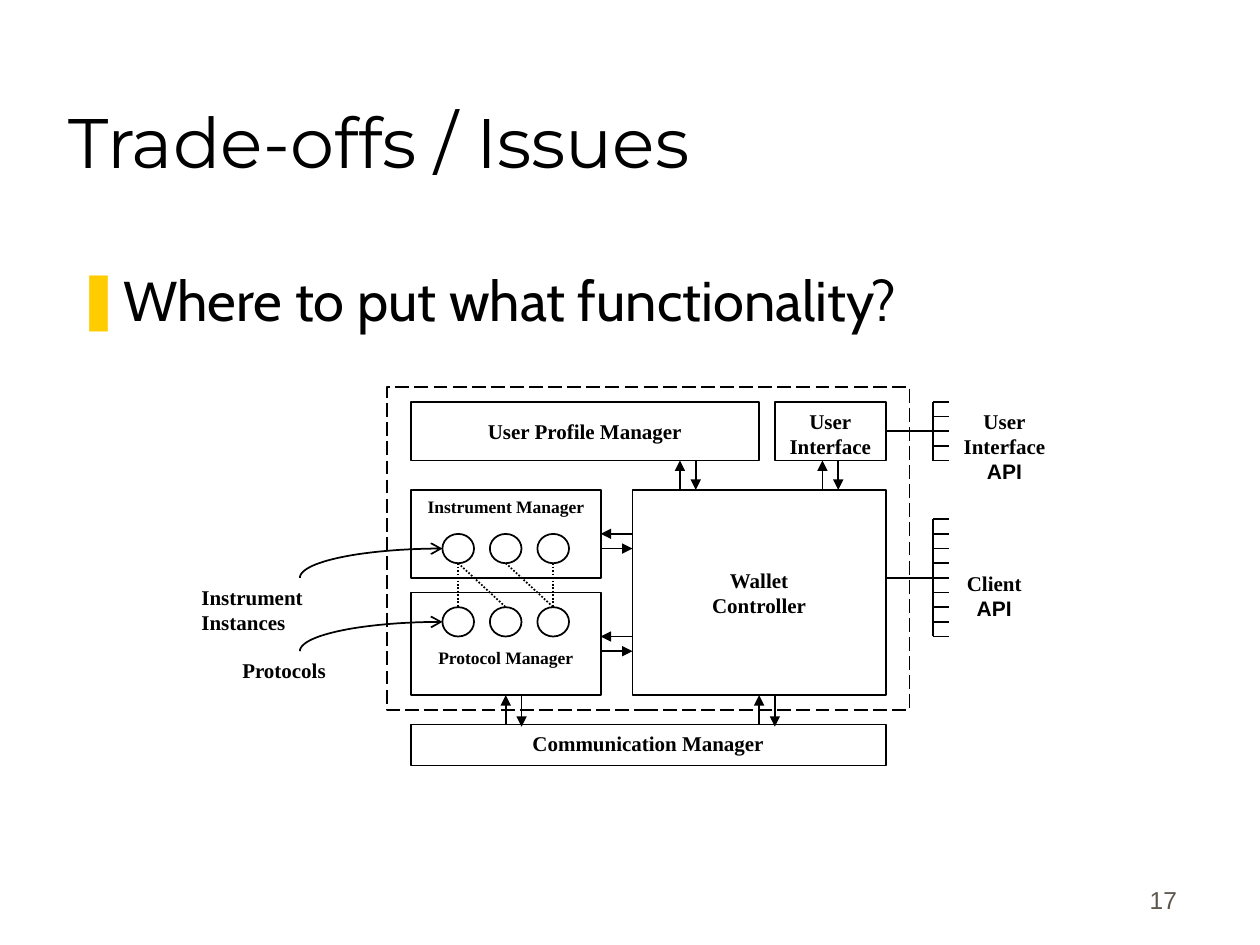
from math import cos, pi, sin

from lxml.etree import SubElement
from pptx import Presentation
from pptx.dml.color import RGBColor
from pptx.enum.dml import MSO_LINE
from pptx.enum.shapes import MSO_CONNECTOR, MSO_SHAPE
from pptx.enum.text import MSO_ANCHOR, MSO_AUTO_SIZE, PP_ALIGN
from pptx.oxml.ns import qn
from pptx.util import Inches, Pt

BLACK = RGBColor(0x00, 0x00, 0x00)
GREY = RGBColor(0x5E, 0x57, 0x4E)
BULLET = RGBColor(0xFF, 0xCC, 0x00)
SERIF = "Times New Roman"

# Diagram grid: column 0 and row 0 meet at the User Profile Manager's corner
LEFT, TOP = 3.26, 3.19
COL, ROW = 3.77 / 30, 2.56 / 22


def x(col):
    return Inches(LEFT + col * COL)


def y(row):
    return Inches(TOP + row * ROW)


def cells(col, row, cols, rows):
    """Left, top, width and height of a block of grid cells."""
    return x(col), y(row), Inches(cols * COL), Inches(rows * ROW)


def write(shape, text, size=12, font=SERIF, bold=True, color=BLACK,
          align=PP_ALIGN.CENTER, anchor=MSO_ANCHOR.TOP, inset=0.05, fonts=None):
    """Fill a shape with one paragraph per line; fonts maps a line to its own font."""
    frame = shape.text_frame
    frame.word_wrap = True
    frame.auto_size = MSO_AUTO_SIZE.NONE
    frame.vertical_anchor = anchor
    frame.margin_left = frame.margin_right = Inches(0.1)
    frame.margin_top, frame.margin_bottom = Inches(inset), Inches(0.05)
    frame.text = text
    for paragraph in frame.paragraphs:
        paragraph.alignment = align
        face = paragraph.runs[0].font
        face.name = (fonts or {}).get(paragraph.text, font)
        face.size, face.bold = Pt(size), bold
        face.color.rgb = color
    return frame


def label(slide, place, text, **style):
    return write(slide.shapes.add_textbox(*place), text, **style)


def outline(shape, dash=None):
    shape.shadow.inherit = False
    shape.fill.background()
    shape.line.color.rgb = BLACK
    shape.line.width = Pt(1)
    if dash:
        shape.line.dash_style = dash
    return shape


def box(slide, place, text=None, dash=None, **style):
    rect = outline(slide.shapes.add_shape(MSO_SHAPE.RECTANGLE, *cells(*place)), dash)
    if text:
        write(rect, text, **style)
    return rect


def add_head(shape, kind):
    SubElement(shape.line._get_or_add_ln(), qn("a:headEnd"), type=kind)


def line(slide, start, end, arrow=False, dash=None):
    """Draw between two grid points; an arrow points at the start."""
    link = slide.shapes.add_connector(
        MSO_CONNECTOR.STRAIGHT, x(start[0]), y(start[1]), x(end[0]), y(end[1]))
    link.line.color.rgb = BLACK
    link.line.width = Pt(1)
    if dash:
        link.line.dash_style = dash
    if arrow:
        add_head(link, "triangle")
    SubElement(link._element.spPr, qn("a:effectLst"))
    return link


def vertical_pair(slide, col, top, bottom, overlap=0):
    line(slide, (col, top), (col, bottom), arrow=True)
    line(slide, (col + 1, bottom + overlap), (col + 1, top), arrow=True)


def horizontal_pair(slide, row, left=12, right=14):
    """Return the upper arrow, which points left."""
    line(slide, (right, row + 1), (left, row + 1), arrow=True)
    return line(slide, (left, row), (right, row), arrow=True)


def api_comb(slide, first, last, stem_row):
    """Draw an API as a spine with teeth; return its stem."""
    line(slide, (33, first), (33, last))
    for row in range(first, last + 1):
        line(slide, (33, row), (34, row))
    return line(slide, (30, stem_row), (33, stem_row))


def curved_arrow(slide, row, tip=2, tail=-7, drop=2, steps=30):
    """Quarter ellipse falling from its tip to the tail at the left."""
    angles = [pi / 2 * step / steps for step in range(steps + 1)]
    points = [(x(tip - (tip - tail) * sin(a)), y(row + drop * (1 - cos(a))))
              for a in angles]
    builder = slide.shapes.build_freeform(*points[0], scale=1.0)
    builder.add_line_segments(points[1:], close=False)
    add_head(outline(builder.convert_to_shape()), "arrow")


def add_heading(slide, width, height):
    title = slide.shapes.title
    title.left, title.top = Inches(0.44), Inches(0.25)
    title.width, title.height = int(width * 0.85), height // 6
    write(title, "Trade-offs / Issues", size=40, font="Montserrat", bold=False,
          align=PP_ALIGN.LEFT, anchor=MSO_ANCHOR.BOTTOM)

    question = label(slide, (width // 20, Inches(2.06), Inches(8.94), Inches(0.7)),
                     "Where to put what functionality?", size=32, font="Cabin",
                     bold=False, align=PP_ALIGN.LEFT).paragraphs[0]
    question.space_before = Pt(8)
    props = question._p.get_or_add_pPr()
    props.set("marL", str(Inches(0.38)))
    props.set("indent", str(-Inches(0.38)))
    SubElement(SubElement(props, qn("a:buClr")), qn("a:srgbClr"), val=str(BULLET))
    SubElement(props, qn("a:buFont"), typeface="Arial")
    SubElement(props, qn("a:buChar"), char="❚")

    label(slide, (Inches(7.36), Inches(6.81), Inches(2.08), height // 15), "17",
          size=14, font="Arial", bold=False, color=GREY,
          align=PP_ALIGN.RIGHT, anchor=MSO_ANCHOR.BOTTOM)


def add_managers(slide):
    """Draw the boxes and the arrows between them."""
    middle = MSO_ANCHOR.MIDDLE
    box(slide, (-1.5, -1, 33, 22), dash=MSO_LINE.LONG_DASH)
    box(slide, (0, 0, 22, 4), "User Profile Manager", anchor=middle)
    instruments = box(slide, (0, 6, 12, 6), "Instrument Manager", size=10)
    box(slide, (0, 13, 12, 7), "Protocol Manager", size=10, inset=0.43)
    box(slide, (0, 22, 30, 2.8), "Communication Manager")
    box(slide, (14, 6, 16, 14), "Wallet\nController", anchor=middle)
    interface = box(slide, (23, 0, 7, 4), "User\nInterface")

    for col in (17, 26):
        vertical_pair(slide, col, 4, 6)
    for col in (6, 22):
        vertical_pair(slide, col, 20, 22, overlap=0.15)
    horizontal_pair(slide, 9).begin_connect(instruments, 3)
    horizontal_pair(slide, 16)
    api_comb(slide, 0, 4, stem_row=2).begin_connect(interface, 3)
    api_comb(slide, 8, 16, stem_row=12)


def add_instances(slide):
    """Draw the instrument and protocol circles and what links them."""
    for row in (9, 14):
        for col in (2, 5, 8):
            outline(slide.shapes.add_shape(MSO_SHAPE.OVAL, *cells(col, row, 2, 2)))
        curved_arrow(slide, row + 1)
    for instrument, protocol in ((3, 3), (3, 6), (6, 9), (9, 9)):
        line(slide, (instrument, 11), (protocol, 14), dash=MSO_LINE.ROUND_DOT)


def add_labels(slide):
    api = {"API": "Arial"}
    label(slide, cells(34, 0, 7, 5), "User\nInterface\nAPI", fonts=api)
    label(slide, cells(34, 9, 5.7, 6.4), "Client\nAPI", inset=0.29, fonts=api)
    label(slide, cells(-14, 12, 12, 3), "Instrument Instances", align=PP_ALIGN.LEFT)
    label(slide, cells(-14, 17, 12, 3), "Protocols")


def main():
    deck = Presentation()
    deck.slide_width, deck.slide_height = Inches(10), Inches(7.5)
    slide = deck.slides.add_slide(deck.slide_layouts[5])
    add_heading(slide, deck.slide_width, deck.slide_height)
    add_managers(slide)
    add_instances(slide)
    add_labels(slide)
    deck.save("out.pptx")


if __name__ == "__main__":
    main()
